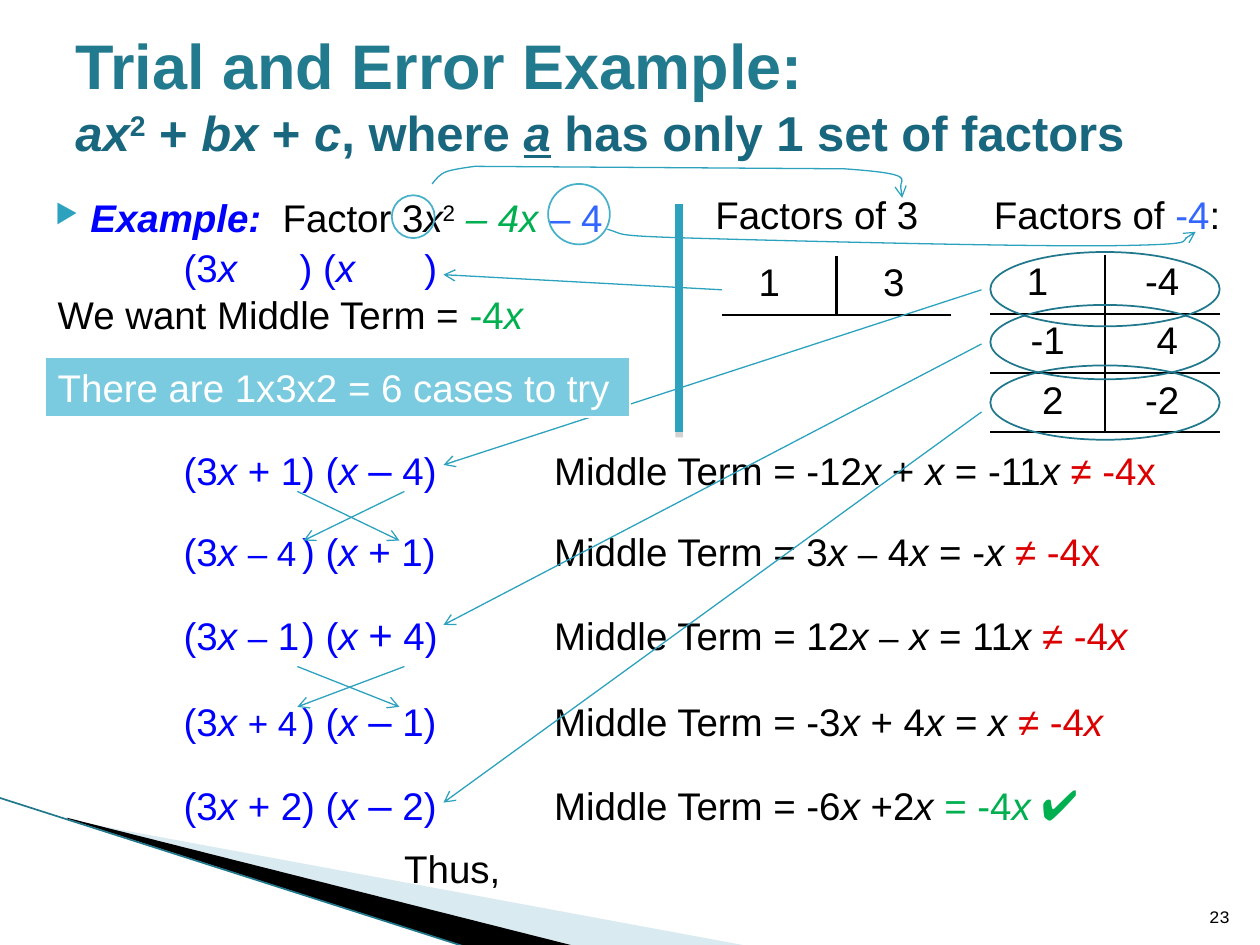
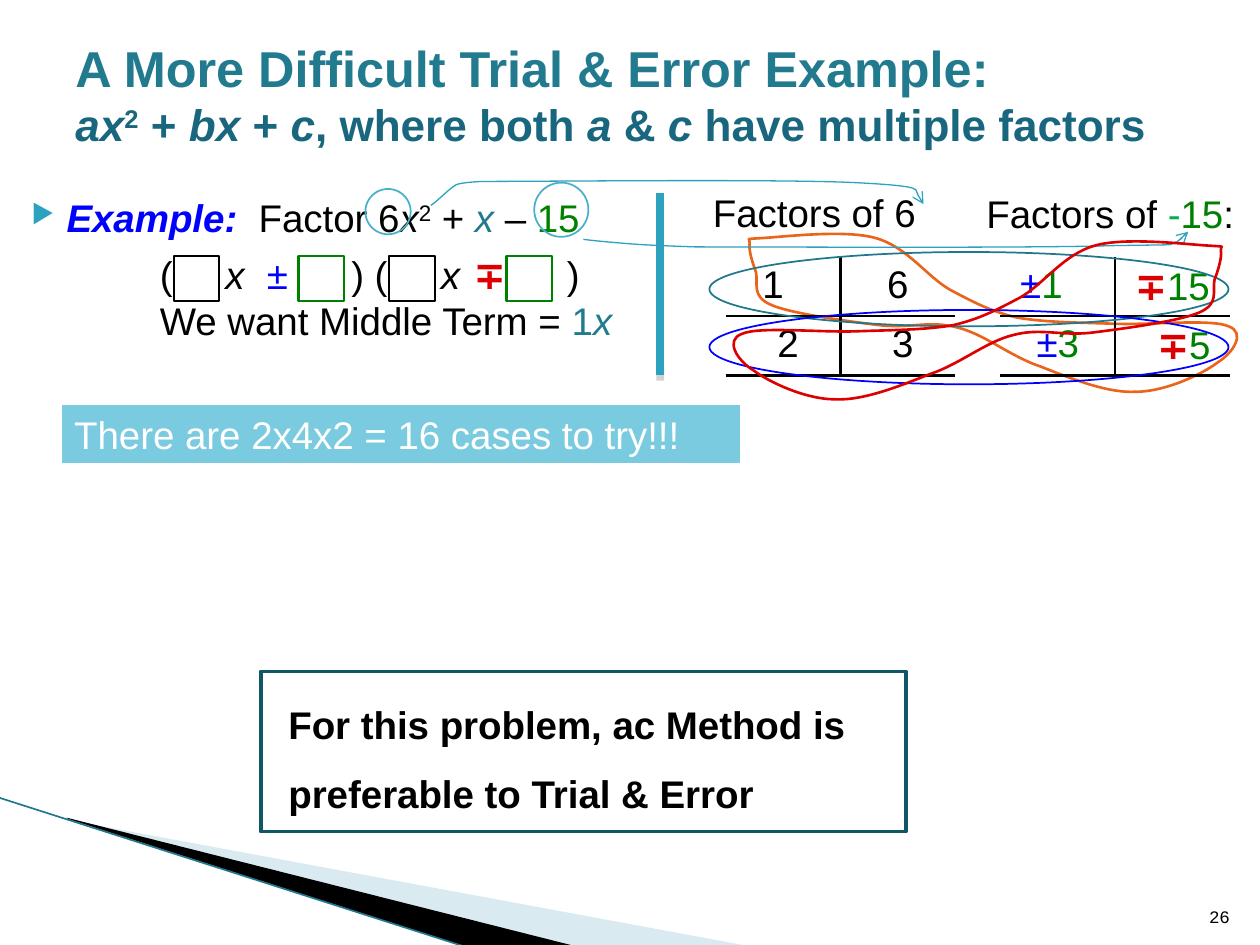
from dataclasses import dataclass
from functools import partial
from itertools import groupby
from typing import NamedTuple, Optional
import pptx
import pptx.dml.color
import pptx.enum.shapes
import pptx.enum.text
import pptx.oxml.ns
import pptx.util
from lxml import etree

Inches = pptx.util.Inches
Shapes = pptx.enum.shapes.MSO_SHAPE
Align = pptx.enum.text.PP_ALIGN
Anchor = pptx.enum.text.MSO_ANCHOR
qn = pptx.oxml.ns.qn
BLACK, WHITE = "000000", "FFFFFF"
BLUE, RED, GREEN, DARK_GREEN, SKY = "0000FF", "DC0000", "00B050", "008000", "3366FF"
TITLE, SUBTITLE = "227A8F", "19677E"
ACCENT, RING, OVAL, CALLOUT = "2DA2BF", "48B1C9", "21788D", "7ACBE0"

class Box(NamedTuple):
    left: float
    top: float
    width: float
    height: float

@dataclass
class Run:
    text: str
    color: str = BLACK
    size: float = 22
    bold: bool = False
    italic: bool = False
    underline: bool = False
    raised: bool = False
    font: str = "Arial"
    variables: str = ""
    tracking: int = 0

class Entry(NamedTuple):
    runs: list
    shift: float = 0

class Case(NamedTuple):
    top: float
    runs: list

plain = partial(Run, variables="x")
blue = partial(Run, color=BLUE, variables="x")
red = partial(Run, color=RED)
green = partial(Run, color=GREEN, variables="x")
dark_green = partial(Run, color=DARK_GREEN)
minus_plus = Run("∓", RED, bold=True, font="Montserrat")

def rgb(value: str):
    return pptx.dml.color.RGBColor.from_string(value)

def lengths(values) -> list:
    return [Inches(value) for value in values]

def child(parent, tag: str, **attributes):
    return etree.SubElement(parent, qn(tag), {k: str(v) for k, v in attributes.items()})

def add_run(paragraph, part: Run) -> None:
    for is_variable, letters in groupby(part.text, lambda letter: letter in part.variables):
        run = paragraph.add_run()
        run.text = "".join(letters)
        run.font.name, run.font.size = part.font, pptx.util.Pt(part.size)
        run.font.bold, run.font.italic = part.bold, part.italic or is_variable
        run.font.underline = part.underline
        run.font.color.rgb = rgb(part.color)
        if part.raised:
            run._r.get_or_add_rPr().set("baseline", "30000")
        if part.tracking:
            run._r.get_or_add_rPr().set("spc", str(part.tracking))

def write(frame, lines: list, *, align=Align.LEFT, anchor=Anchor.TOP, tabs=(),
          spacing: Optional[float] = None, margin: float = 0, indent: float = 0, bullet: str = "") -> None:
    frame.word_wrap = True
    frame.vertical_anchor = anchor
    for number, parts in enumerate(lines):
        paragraph = frame.add_paragraph() if number else frame.paragraphs[0]
        properties = paragraph._p.get_or_add_pPr()
        if margin:
            properties.set("marL", str(Inches(margin)))
            properties.set("indent", str(Inches(indent)))
        if bullet:
            child(child(properties, "a:buClr"), "a:srgbClr", val=ACCENT)
            child(properties, "a:buSzPct", val=68000)
            child(properties, "a:buChar", char=bullet)
        if tabs:
            stops = child(properties, "a:tabLst")
            for stop in tabs:
                child(stops, "a:tab", pos=Inches(stop), algn="l")
        paragraph.alignment = align
        if spacing:
            paragraph.line_spacing = spacing
        for part in parts:
            if part.text == "\n":
                paragraph.add_line_break()
            else:
                add_run(paragraph, part)

def add_text(slide, box: Box, lines: list, **layout) -> None:
    write(slide.shapes.add_textbox(*lengths(box)).text_frame, lines, **layout)

def paint(shape, fill: str = "", line: str = "", width: float = 1) -> None:
    shape.shadow.inherit = False
    for area, color in ((shape.fill, fill), (shape.line.fill, line)):
        if color:
            area.solid()
            area.fore_color.rgb = rgb(color)
        else:
            area.background()
    if line:
        shape.line.width = pptx.util.Pt(width)

def add_preset(slide, kind, box: Box, **look):
    shape = slide.shapes.add_shape(kind, *lengths(box))
    paint(shape, **look)
    return shape

def add_arrowhead(shape) -> None:
    child(shape._element.spPr.find(qn("a:ln")), "a:tailEnd", type="arrow")

def add_outline(slide, knots: list, curved=False, closed=True, frame: Optional[Box] = None, **look):
    corners = [tuple(lengths(knot)) for knot in knots]
    builder = slide.shapes.build_freeform(*corners[0])
    builder.add_line_segments(corners[1:], close=closed)
    shape = builder.convert_to_shape()
    outline = shape._element.spPr.find(".//" + qn("a:path"))
    if curved:
        segments = iter(outline.findall(qn("a:lnTo")))
        for bend, *others in zip(segments, segments, segments):
            bend.tag = qn("a:cubicBezTo")
            for other in others:
                bend.append(other[0])
                outline.remove(other)
    if frame:
        left, top, width, height = lengths(frame)
        for point in outline.iter(qn("a:pt")):
            point.set("x", str(int(point.get("x")) + shape.left - left))
            point.set("y", str(int(point.get("y")) + shape.top - top))
        outline.set("w", str(width))
        outline.set("h", str(height))
        shape.left, shape.top, shape.width, shape.height = left, top, width, height
    paint(shape, **look)
    return shape

def add_pointer(slide, knots: list) -> None:
    add_arrowhead(add_outline(slide, knots, curved=True, closed=False, line=ACCENT, width=0.75))

def add_line(slide, start: tuple, end: tuple, color: str = ACCENT, width: float = 0.75):
    line = slide.shapes.add_connector(pptx.enum.shapes.MSO_CONNECTOR.STRAIGHT, *lengths(start + end))
    line.line.color.rgb = rgb(color)
    line.line.width = pptx.util.Pt(width)
    child(line._element.spPr, "a:effectLst")
    return line

def add_arrow(slide, start: tuple, end: tuple) -> None:
    add_arrowhead(add_line(slide, start, end))

def add_divider(slide, x: float, top: float, bottom: float) -> None:
    effects = add_line(slide, (x, top), (x, bottom), width=4.33)._element.spPr.find(qn("a:effectLst"))
    shadow = child(effects, "a:outerShdw", blurRad=0, dist=pptx.util.Pt(3), dir=5400000)
    child(child(shadow, "a:srgbClr", val="808080"), "a:alpha", val=35000)

def add_factor_table(slide, left: float, top: float, rows: list, width: float = 1.5) -> None:
    table = slide.shapes.add_table(len(rows), 2, *lengths((left, top, 1.82, 0.47 * len(rows)))).table
    table.first_row = table.horz_banding = False
    for y, row in enumerate(rows):
        for x, entry in enumerate(row):
            cell = table.cell(y, x)
            cell.margin_left = Inches(0.1 + max(0, 2 * entry.shift))
            cell.margin_right = Inches(0.1 + max(0, -2 * entry.shift))
            write(cell.text_frame, [entry.runs], align=Align.CENTER)
            for side, visible in {"L": x == 1, "R": x == 0, "T": y > 0, "B": True}.items():
                weight = 1.5 if side == "B" and y == len(rows) - 1 else width
                edge = child(cell._tc.get_or_add_tcPr(), f"a:ln{side}", w=pptx.util.Pt(weight))
                ink = child(edge, "a:solidFill" if visible else "a:noFill")
                if visible:
                    child(ink, "a:srgbClr", val=BLACK)
            cell.fill.background()

def add_callout(slide, box: Box, text: str) -> None:
    callout = add_preset(slide, Shapes.RECTANGLE, box, fill=CALLOUT, line=WHITE, width=0.75)
    write(callout.text_frame, [[Run(text, WHITE)]])

def add_example(slide, left: float, polynomial: list, rings: list) -> None:
    lead = [blue("Example:", bold=True, italic=True), Run(" ", tracking=600), Run("Factor ")]
    add_text(slide, Box(left, 1.31, 5.1, 0.62), [lead + polynomial],
             spacing=1.5, margin=0.4, indent=-0.28, bullet="▶")
    for ring in rings:
        add_preset(slide, Shapes.OVAL, ring, line=RING)

def start_slide(deck, heading: str, sizes: tuple, condition: list, number: int):
    slide = deck.slides.add_slide(deck.slide_layouts[6])
    pale = add_outline(slide, [(0.55, 6.51), (5.95, 7.51), (4.56, 7.51), (0.55, 6.5)],
                       frame=Box(0.78, 5.47, 4.16, 1.58), fill="A0CBDC")
    child(pale._element.spPr.find(".//" + qn("a:srgbClr")), "a:alpha", val=40000)
    add_outline(slide, [(0.53, 6.49), (4.57, 7.51), (3.72, 7.52), (0.54, 6.5)],
                frame=Box(-0.06, 6.33, 4.16, 0.92), fill=BLACK)
    add_line(slide, (-0.01, 6.33), (3.71, 7.52), OVAL, 0.95)
    term = partial(Run, color=SUBTITLE, size=sizes[1], bold=True)
    title = [Run(heading, TITLE, sizes[0], bold=True), Run("\n"), term("ax", italic=True),
             term("2", raised=True), term(" + bx + c", variables="bxc"), term(", where ")]
    title += [term(text, **look) for text, look in condition]
    add_text(slide, Box(0.5, 0.12, 9, 1.25), [title], anchor=Anchor.MIDDLE)
    add_text(slide, Box(9.46, 7.01, 0.4, 0.4), [[Run(str(number), size=10, font="Courier New")]],
             align=Align.RIGHT, anchor=Anchor.BOTTOM)
    return slide

def build_single_factor_slide(deck) -> None:
    slide = start_slide(deck, "Trial and Error Example:", (36, 28),
                        [("a", {"italic": True, "underline": True}), (" has only 1 set of factors", {})], 23)
    add_example(slide, 0.22, [plain("3x"), Run("2", raised=True), green(" – 4x ", italic=True), Run("– 4", SKY)],
                [Box(4.35, 1.46, 0.49, 0.48), Box(3.11, 1.55, 0.34, 0.34)])
    add_text(slide, Box(5.58, 1.47, 1.84, 0.47), [[Run("Factors of 3")]])
    add_text(slide, Box(7.79, 1.47, 2.15, 0.47), [[Run("Factors of "), Run("-4", SKY), Run(":")]])
    add_factor_table(slide, 7.86, 2.02, [[Entry([Run("1")], -0.08), Entry([Run("-4")])],
                                         [Entry([Run("-1")]), Entry([Run("4")], 0.04)],
                                         [Entry([Run("2")], 0.04), Entry([Run("-2")])]])
    add_factor_table(slide, 5.73, 2.03, [[Entry([Run("1")], -0.08), Entry([Run("3")])]])
    add_divider(slide, 5.39, 1.62, 3.43)
    add_text(slide, Box(0.36, 1.86, 4.14, 0.88),
             [[blue("\t(3x\t) (x"), blue("\t", size=24), blue(")")],
              [Run("We want Middle Term = "), green("-4x")]], tabs=(1, 1.92, 2.91))
    cases = [
        Case(3.47, [blue("(3x + 1) (x "), blue("–", size=24), blue(" 4)\t"),
                    plain("Middle Term = -12x + x = -11x "), red("≠ -4x")]),
        Case(4.14, [blue("(3x "), blue("– 4\t", size=20), blue(") (x + 1)\t"),
                    plain("Middle Term = 3x "), Run("–", size=20), plain(" 4x = -x "), red("≠ -4x")]),
        Case(4.78, [blue("(3x "), blue("–", size=20), blue(" 1\t) (x "), blue("+", size=24), blue(" 4)\t"),
                    plain("Middle Term = 12x "), Run("–", size=20), plain(" x = 11x "),
                    red("≠ -4x", variables="x")]),
        Case(5.46, [blue("(3x "), blue("+ 4\t", size=20), blue(") (x "), blue("–", size=24), blue(" 1)\t"),
                    plain("Middle Term = -3x + 4x = x "), red("≠ -4x", variables="x")]),
        Case(6.13, [blue("(3x + 2) (x "), blue("–", size=24), blue(" 2)\t"),
                    plain("Middle Term = -6x +2x "), green("= -4x "), green("✔", size=24, bold=True)])]
    for case in cases:
        add_text(slide, Box(1.36, case.top, 8.15, 0.5), [case.runs], tabs=(0.94, 2.94))
    add_text(slide, Box(3.11, 6.66, 1.07, 0.47), [[Run("Thus,")]])
    add_pointer(slide, [(3.43, 1.46), (3.46, 1.42), (3.49, 1.38), (3.55, 1.36), (3.61, 1.34), (3.77, 1.32),
                        (3.77, 1.32), (3.77, 1.32), (6.7, 1.34), (6.7, 1.34), (7.28, 1.38), (7.11, 1.47),
                        (7.16, 1.57)])
    add_pointer(slide, [(4.82, 1.82), (4.97, 1.86), (4.82, 1.87), (5.49, 1.89), (6.16, 1.91), (8.17, 1.96),
                        (8.84, 1.95), (9.51, 1.94), (9.38, 1.88), (9.49, 1.84)])
    for top, bottom, left in ((3.9, 4.29, 2.41), (5.29, 5.61, 2.36)):
        add_arrow(slide, (3.21, top), (left, bottom))
        add_arrow(slide, (2.36, top), (3.17, bottom))
    for oval_top, start, end in ((2, 2.3, 3.69), (2.42, 2.73, 4.96), (2.9, 3.27, 6.37)):
        add_preset(slide, Shapes.OVAL, Box(7.86, oval_top, 1.82, 0.59), line=OVAL)
        add_arrow(slide, (7.79, start), (3.52, end))
    add_arrow(slide, (5.73, 2.3), (3.52, 2.18))
    add_callout(slide, Box(0.36, 2.84, 4.64, 0.47), "There are 1x3x2 = 6 cases to try")

def build_multiple_factor_slide(deck) -> None:
    slide = start_slide(deck, "A More Difficult Trial & Error Example:", (28.8, 25.2),
                        [("both ", {}), ("a & c", {"variables": "ac"}), (" have multiple factors", {})], 26)
    orange_loop = [
        (5.95, 1.93), (5.94, 1.98), (5.97, 2.08), (6, 2.16), (6.02, 2.25), (5.96, 2.35), (6.12, 2.42), (6.28, 2.49),
        (6.73, 2.55), (6.97, 2.58), (7.22, 2.61), (7.38, 2.54), (7.6, 2.6), (7.81, 2.65), (8.02, 2.83), (8.26, 2.91),
        (8.49, 3), (8.78, 3.12), (9.01, 3.11), (9.25, 3.11), (9.54, 2.97), (9.66, 2.88), (9.79, 2.8), (9.89, 2.64),
        (9.75, 2.59), (9.62, 2.53), (9.13, 2.58), (8.85, 2.57), (8.57, 2.56), (8.29, 2.56), (8.07, 2.52), (7.86, 2.47),
        (7.73, 2.4), (7.54, 2.3), (7.35, 2.19), (7.2, 1.96), (6.95, 1.89), (6.71, 1.82), (6.22, 1.88), (6.05, 1.89),
        (5.89, 1.9), (5.96, 1.89), (5.95, 1.93)]
    red_loop = [(15.64 - x, y + 0.06) for x, y in orange_loop]
    add_outline(slide, orange_loop, curved=True, line="EB641B", width=1.5)
    add_example(slide, 0.03, [plain("6x"), Run("2", raised=True), Run(" + "), Run("x", TITLE, italic=True),
                              Run(" – "), dark_green("15")],
                [Box(4.24, 1.45, 0.43, 0.43), Box(2.9, 1.5, 0.36, 0.36)])
    add_text(slide, Box(5.56, 1.45, 2.02, 0.47), [[Run("Factors of 6")]])
    add_text(slide, Box(7.73, 1.46, 2.27, 0.47), [[Run("Factors of "), green("-"), dark_green("15"), Run(":")]])
    add_factor_table(slide, 7.94, 2.04,
                     [[Entry([blue("±"), dark_green("1")], -0.13), Entry([minus_plus, dark_green("15")])],
                      [Entry([blue("±"), dark_green("3")]), Entry([minus_plus, dark_green("5")], 0.09)]], width=1)
    add_factor_table(slide, 5.76, 2.04, [[Entry([Run("1")], -0.08), Entry([Run("6")])],
                                         [Entry([Run("2")], 0.04), Entry([Run("3")], 0.04)]])
    add_divider(slide, 5.24, 1.53, 2.98)
    add_text(slide, Box(1.17, 1.94, 4.24, 0.84),
             [[plain("(\tx\t"), blue("±"), plain("\t) (\tx\t"), minus_plus, Run("\t)")],
              [Run("We want Middle Term = "), Run("1x", TITLE, variables="x")]],
             tabs=(0.52, 0.85, 1.52, 2.23, 2.49, 3.23))
    add_pointer(slide, [(3.42, 1.63), (3.46, 1.61), (3.6, 1.46), (3.64, 1.46), (3.73, 1.44), (3.86, 1.44),
                        (3.86, 1.44), (4.38, 1.44), (6.22, 1.42), (6.8, 1.45), (7.38, 1.48), (7.28, 1.57),
                        (7.33, 1.62)])
    add_pointer(slide, [(4.63, 1.9), (4.7, 1.91), (4.92, 1.93), (5.06, 1.94), (5.21, 1.95), (5.52, 1.96),
                        (5.52, 1.96), (6.14, 1.96), (8.17, 1.97), (8.82, 1.95), (9.45, 1.94), (9.23, 1.95),
                        (9.34, 1.92), (9.42, 1.86), (9.41, 1.85), (9.43, 1.84)])
    for left, color in ((1.38, BLACK), (2.37, DARK_GREEN), (3.09, BLACK), (4.02, DARK_GREEN)):
        add_preset(slide, Shapes.RECTANGLE, Box(left, 2.03, 0.36, 0.36), line=color, width=1.25)
    for top, color in ((2, OVAL), (2.46, BLUE)):
        add_preset(slide, Shapes.OVAL, Box(5.63, top, 4.12, 0.59), line=color)
    add_outline(slide, red_loop, curved=True, line=RED, width=1.5)
    advice = add_preset(slide, Shapes.RECTANGLE, Box(2.07, 5.33, 5.12, 1.27), line="105766", width=2.25)
    write(advice.text_frame, [[Run("For this problem, ac Method is preferable to Trial & Error", bold=True)]],
          spacing=1.5, margin=0.12)
    add_callout(slide, Box(0.49, 3.21, 5.39, 0.47), "There are 2x4x2 = 16 cases to try!!!")

def main() -> None:
    deck = pptx.Presentation()
    deck.slide_width, deck.slide_height = Inches(10), Inches(7.5)
    build_single_factor_slide(deck)
    build_multiple_factor_slide(deck)
    deck.save("out.pptx")

if __name__ == "__main__":
    main()
